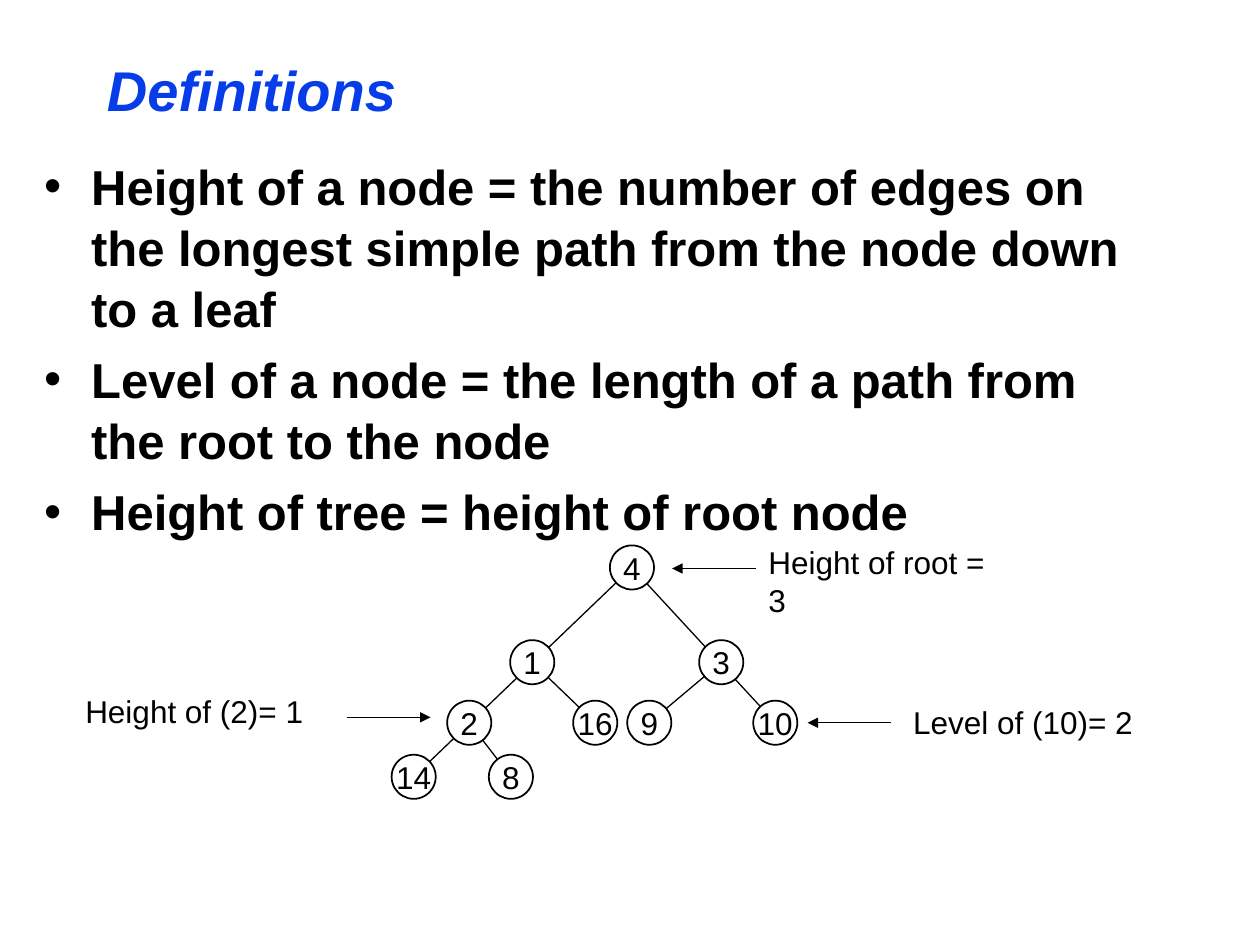
import pptx
import pptx.dml.color
import pptx.enum.shapes
import pptx.enum.text
import pptx.oxml.ns
import pptx.util
from lxml import etree
from pptx.util import Cm

BLACK = pptx.dml.color.RGBColor(0x00, 0x00, 0x00)
WHITE = pptx.dml.color.RGBColor(0xFF, 0xFF, 0xFF)
BLUE = pptx.dml.color.RGBColor(0x06, 0x3D, 0xE8)
ALIGN = pptx.enum.text.PP_ALIGN
ANCHOR = pptx.enum.text.MSO_ANCHOR
qn = pptx.oxml.ns.qn


def write(para, text, size=18, color=BLACK, bold=False, italic=False, align=ALIGN.LEFT):
    span = para.add_run()
    span.text = text
    para.alignment = align
    span.font.name = "Arial"
    span.font.size = pptx.util.Pt(size)
    span.font.color.rgb = color
    span.font.bold = bold
    span.font.italic = italic


def draw_line(page, start, end, arrow=False):
    line = page.shapes.add_connector(
        pptx.enum.shapes.MSO_CONNECTOR.STRAIGHT,
        Cm(start[0]), Cm(start[1]), Cm(end[0]), Cm(end[1]))
    line.line.color.rgb = BLACK
    line.line.width = pptx.util.Pt(0.75)
    if arrow:
        etree.SubElement(line.line._get_or_add_ln(), qn("a:tailEnd"), type="triangle")
    etree.SubElement(line._element.spPr, qn("a:effectLst"))


deck = pptx.Presentation()
deck.slide_width, deck.slide_height = Cm(25.4), Cm(19.05)
page = deck.slides.add_slide(deck.slide_layouts[5])

# Title
title = page.shapes.title
title.left, title.top, title.width, title.height = Cm(1.9), Cm(0.85), Cm(21.6), Cm(1.9)
title.text_frame.vertical_anchor = ANCHOR.MIDDLE
write(title.text_frame.paragraphs[0], "Definitions", size=32, color=BLUE, bold=True, italic=True)

# Bulleted definitions
definitions = [
    "Height of a node = the number of edges on the longest simple path from the node down to a leaf",
    "Level of a node = the length of a path from the root to the node",
    "Height of tree = height of root node",
]
box = page.shapes.add_textbox(Cm(0.64), Cm(2.98), Cm(22.86), Cm(10.8))
box.text_frame.word_wrap = True
for index, definition in enumerate(definitions):
    para = box.text_frame.paragraphs[0] if index == 0 else box.text_frame.add_paragraph()
    properties = para._p.get_or_add_pPr()
    properties.set("marL", str(Cm(0.95)))
    properties.set("indent", str(-Cm(0.95)))
    etree.SubElement(properties, qn("a:buFont"), typeface="Arial")
    etree.SubElement(properties, qn("a:buChar"), char="•")
    para.line_spacing = 1.04
    if index > 0:
        para.space_before = pptx.util.Pt(5.6)
    write(para, definition, size=28, bold=True)

# Tree: centre of each node, by level
levels = [
    (11.44, {"4": 12.74}),
    (13.35, {"1": 10.73, "3": 14.54}),
    (14.57, {"2": 9.46, "16": 12, "9": 13.09, "10": 15.63}),
    (15.66, {"14": 8.34, "8": 10.3}),
]
centres = {key: (x, y) for y, row in levels for key, x in row.items()}

# Edges run behind the nodes; the two long ones pass through several
for lower, upper in [("9", "3"), ("8", "2"), ("16", "1"), ("10", "4"), ("14", "4")]:
    draw_line(page, centres[lower], centres[upper])

DIAMETER = 0.89
for key, (x, y) in centres.items():
    node = page.shapes.add_shape(
        pptx.enum.shapes.MSO_SHAPE.OVAL,
        Cm(x - DIAMETER / 2), Cm(y - DIAMETER / 2), Cm(DIAMETER), Cm(DIAMETER))
    node.shadow.inherit = False
    node.fill.solid()
    node.fill.fore_color.rgb = WHITE
    node.line.color.rgb = BLACK
    node.line.width = pptx.util.Pt(1)
    node.text_frame.word_wrap = False
    node.text_frame.vertical_anchor = ANCHOR.MIDDLE
    write(node.text_frame.paragraphs[0], key, align=ALIGN.CENTER)

# Notes beside the tree: text, left, top, width, arrow start x, end x, y
notes = [
    ("Height of root = 3", 15.24, 10.82, 5.38, 15.24, 13.55, 11.46),
    ("Height of (2)= 1", 1.47, 13.82, 4.9, 6.99, 8.68, 14.46),
    ("Level of (10)= 2", 18.16, 14.05, 4.93, 17.97, 16.28, 14.57),
]
for text, left, top, width, start, end, y in notes:
    label = page.shapes.add_textbox(Cm(left), Cm(top), Cm(width), Cm(1.02))
    label.text_frame.word_wrap = False
    write(label.text_frame.paragraphs[0], text)
    draw_line(page, (start, y), (end, y), arrow=True)

deck.save("out.pptx")
